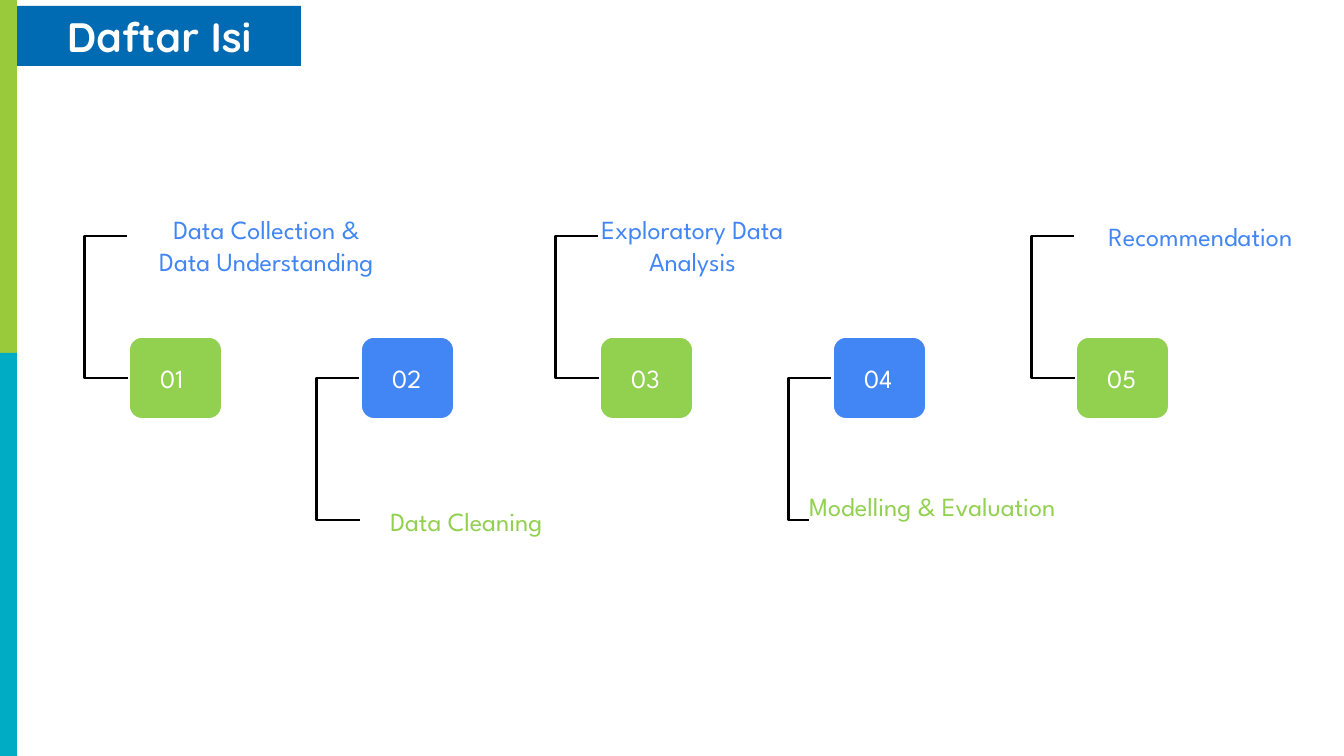
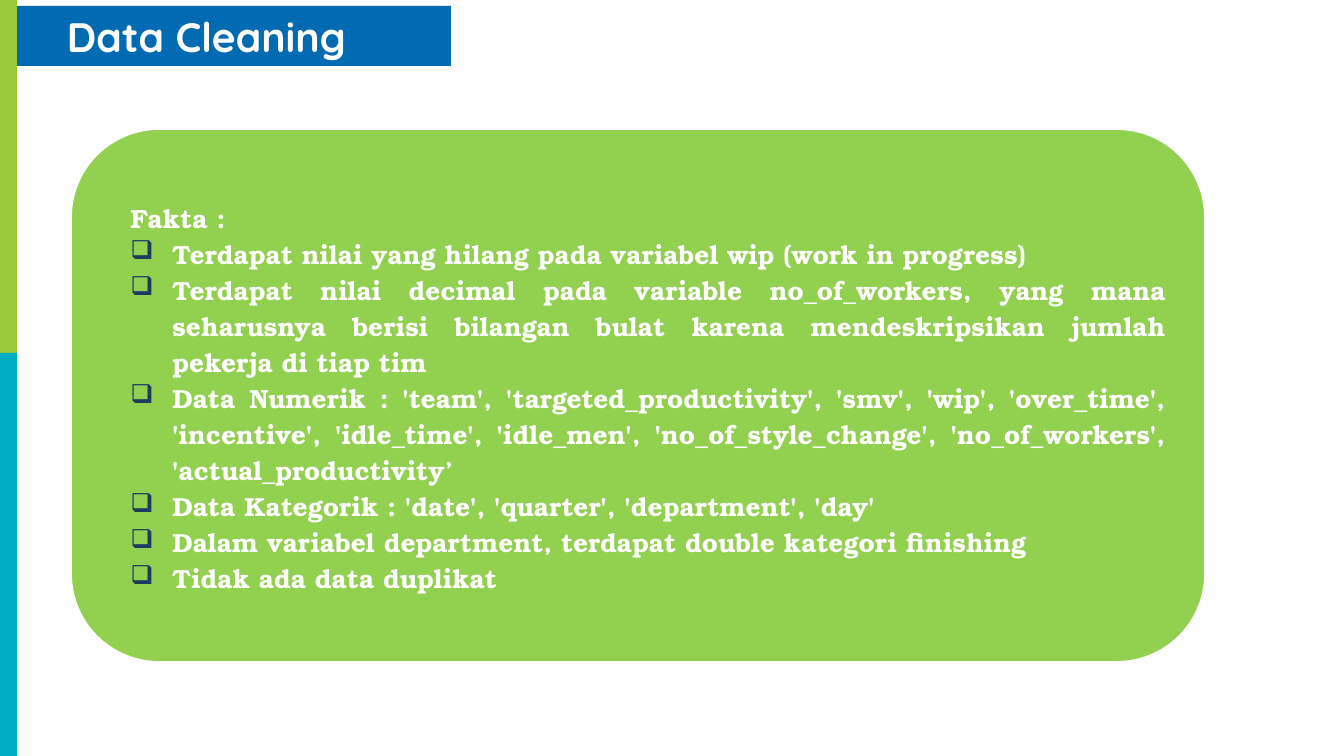
from pptx import Presentation
from pptx.dml.color import RGBColor
from pptx.enum import shapes, text
from pptx.oxml import ns, xmlchemy
from pptx.util import Pt

PX = 914400 / 134.4
WIDTH, HEIGHT = 1344, 756

WHITE = RGBColor(0xFF, 0xFF, 0xFF)
BLACK = RGBColor(0x00, 0x00, 0x00)
BANNER_BLUE = RGBColor(0x00, 0x6A, 0xB2)
BAND_GREEN = RGBColor(0x98, 0xCA, 0x3C)
BAND_TEAL = RGBColor(0x00, 0xAC, 0xC4)
GREEN = RGBColor(0x92, 0xD0, 0x50)
BLUE = RGBColor(0x42, 0x85, 0xF4)
NAVY = RGBColor(0x1F, 0x3B, 0x64)

TITLE_FONT = "Quicksand"
LABEL_FONT = "League Spartan"
BODY_FONT = "TeX Gyre Bonum"

BOX_TOP, BOX_WIDTH, BOX_HEIGHT = 336, 95, 84
BRACKET_REACH, BRACKET_HEIGHT = 42, 142

STEPS = [
    (128, ["Data Collection &", "Data Understanding"], (108, 207, 301, 77), True),
    (360, ["Data Cleaning"], (308, 499, 301, 46), False),
    (599, ["Exploratory Data Analysis"], (556, 207, 257, 77), True),
    (832, ["Modelling & Evaluation"], (774, 484, 301, 77), False),
    (1075, ["Recommendation"], (1042, 214, 301, 46), True),
]

FACTS = [
    "Terdapat nilai yang hilang pada variabel wip (work in progress)",
    "Terdapat nilai decimal pada variable no_of_workers, yang mana seharusnya "
    "berisi bilangan bulat karena mendeskripsikan jumlah pekerja di tiap tim",
    "Data Numerik : 'team', 'targeted_productivity', 'smv', 'wip', 'over_time', "
    "'incentive', 'idle_time', 'idle_men', 'no_of_style_change', "
    "'no_of_workers', 'actual_productivity’",
    "Data Kategorik : 'date', 'quarter', 'department', 'day'",
    "Dalam variabel department, terdapat double kategori finishing",
    "Tidak ada data duplikat",
]


def px(length):
    """Turn px into EMU."""
    return round(length * PX)


def add_block(slide, kind, box, fill, outline=None):
    """Add a filled preset shape without shadow."""
    shape = slide.shapes.add_shape(kind, *map(px, box))
    shape.shadow.inherit = False
    shape.fill.solid()
    shape.fill.fore_color.rgb = fill
    if outline is None:
        shape.line.fill.background()
    else:
        shape.line.color.rgb = outline
        shape.line.width = Pt(2)
    return shape


def add_text_box(slide, box):
    """Add a wrapping text box that grows with its text."""
    shape = slide.shapes.add_textbox(*map(px, box))
    shape.text_frame.word_wrap = True
    shape.text_frame.auto_size = text.MSO_AUTO_SIZE.SHAPE_TO_FIT_TEXT
    return shape.text_frame


def next_paragraph(frame, index):
    """Return the first paragraph of the frame or a new one."""
    return frame.add_paragraph() if index else frame.paragraphs[0]


def set_indent(paragraph, left, first=0):
    """Set the left margin and first line indent in px."""
    properties = paragraph._p.get_or_add_pPr()
    properties.set("marL", str(px(left)))
    properties.set("indent", str(px(first)))


def set_bullet(paragraph, character, color):
    """Give the paragraph a coloured bullet."""
    properties = paragraph._p.get_or_add_pPr()
    bullet_color = xmlchemy.OxmlElement("a:buClr")
    value = xmlchemy.OxmlElement("a:srgbClr")
    value.set("val", str(color))
    bullet_color.append(value)
    bullet = xmlchemy.OxmlElement("a:buChar")
    bullet.set("char", character)
    properties.extend([bullet_color, bullet])


def add_run(paragraph, words, font_name, size, color, bold=False, highlight=None):
    """Add one styled run to the paragraph."""
    run = paragraph.add_run()
    run.text = words
    run.font.name = font_name
    run.font.size = Pt(size)
    run.font.bold = bold
    run.font.color.rgb = color
    if highlight is not None:
        mark = xmlchemy.OxmlElement("a:highlight")
        value = xmlchemy.OxmlElement("a:srgbClr")
        value.set("val", str(highlight))
        mark.append(value)
        run._r.rPr.find(ns.qn("a:solidFill")).addnext(mark)


def add_frame(presentation, title, banner_width):
    """Add a slide with its title banner and side bands."""
    slide = presentation.slides.add_slide(presentation.slide_layouts[6])
    rectangle = shapes.MSO_SHAPE.RECTANGLE
    banner = add_block(slide, rectangle, (0, 6, banner_width, 60), BANNER_BLUE)
    frame = banner.text_frame
    frame.margin_left = frame.margin_right = 0
    frame.margin_top = frame.margin_bottom = 0
    paragraph = frame.paragraphs[0]
    paragraph.alignment = text.PP_ALIGN.LEFT
    set_indent(paragraph, 0, 67)
    add_run(paragraph, title, TITLE_FONT, 22, WHITE, bold=True)
    add_block(slide, rectangle, (0, 0, 17, 356), BAND_GREEN)
    add_block(slide, rectangle, (0, 353, 17, HEIGHT - 353), BAND_TEAL)
    return slide


def add_bracket(slide, right, top):
    """Add an elbow line that opens to the right."""
    connector = slide.shapes.add_connector(
        shapes.MSO_CONNECTOR.ELBOW,
        px(right - 1), px(top), px(right), px(top + BRACKET_HEIGHT))
    connector.line.color.rgb = BLACK
    connector.line.width = Pt(1.5)
    guide = xmlchemy.OxmlElement("a:gd")
    guide.set("name", "adj1")
    guide.set("fmla", f"val {-BRACKET_REACH * 100000}")
    properties = connector._element.spPr
    properties.find(".//" + ns.qn("a:avLst")).append(guide)
    properties.append(xmlchemy.OxmlElement("a:effectLst"))


def add_step(slide, number, left, lines, label_box, above):
    """Add a numbered box with its bracket and label."""
    add_block(slide, shapes.MSO_SHAPE.ROUNDED_RECTANGLE,
              (left, BOX_TOP, BOX_WIDTH, BOX_HEIGHT), GREEN if above else BLUE, WHITE)
    middle = BOX_TOP + BOX_HEIGHT // 2
    add_bracket(slide, left, middle - BRACKET_HEIGHT if above else middle)
    label = add_text_box(slide, label_box)
    for index, line in enumerate(lines):
        paragraph = next_paragraph(label, index)
        paragraph.alignment = text.PP_ALIGN.CENTER
        set_indent(paragraph, 16)
        add_run(paragraph, line, LABEL_FONT, 14, BLUE if above else GREEN, highlight=WHITE)
    caption = add_text_box(slide, (left + 19, BOX_TOP + 20, 62, 46))
    add_run(caption.paragraphs[0], f"{number:02}", LABEL_FONT, 14, WHITE)


def add_fact_card(slide, box, heading, facts):
    """Add a rounded card with a heading and bulleted facts."""
    card = add_block(slide, shapes.MSO_SHAPE.ROUNDED_RECTANGLE, box, GREEN, WHITE)
    for index, words in enumerate([heading, *facts]):
        paragraph = next_paragraph(card.text_frame, index)
        paragraph.alignment = text.PP_ALIGN.JUSTIFY
        if index:
            set_indent(paragraph, 63, -42)
            set_bullet(paragraph, "❑", NAVY)
        else:
            set_indent(paragraph, 21)
        paragraph.line_spacing = 1.15
        add_run(paragraph, words, BODY_FONT, 14, WHITE, bold=True)


def main():
    """Build and save the presentation."""
    presentation = Presentation()
    presentation.slide_width = px(WIDTH)
    presentation.slide_height = px(HEIGHT)
    contents = add_frame(presentation, "Daftar Isi", 301)
    for number, step in enumerate(STEPS, 1):
        add_step(contents, number, *step)
    cleaning = add_frame(presentation, "Data Cleaning", 451)
    add_fact_card(cleaning, (70, 128, 1136, 535), "Fakta :", FACTS)
    presentation.save("out.pptx")


if __name__ == "__main__":
    main()
